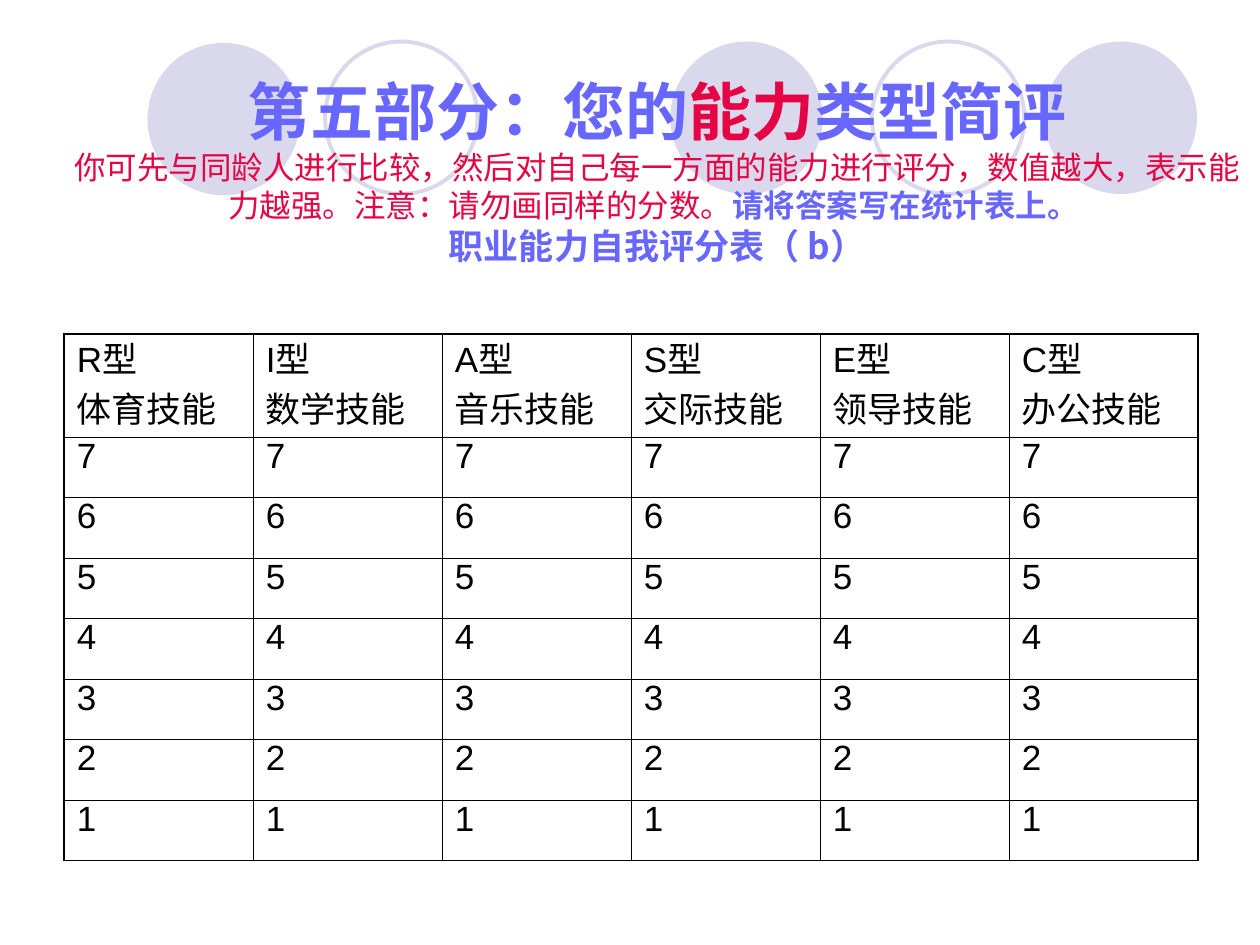
"""Build the ability self-rating slide with its score table."""
from dataclasses import dataclass

import pptx
import pptx.dml.color
import pptx.enum.shapes
import pptx.enum.text
import pptx.oxml
import pptx.oxml.ns
import pptx.util
from pptx.util import Inches


@dataclass(frozen=True)
class Theme:
    lilac: str = "D9D8EC"
    blue: str = "6767FF"
    red: str = "E50545"
    ink: str = "000000"
    latin: str = "Arial"
    cjk: str = "Noto Sans CJK SC"
    title: int = 36
    note: int = 18
    body: int = 20
    ring: float = 2.25
    inner: float = 0.45
    outer: float = 1.08


@dataclass(frozen=True)
class Circle:
    left: float
    top: float
    filled: bool


@dataclass(frozen=True)
class TextRun:
    text: str
    size: int
    color: str
    font: str
    bold: bool = False
    ends_line: bool = False


THEME = Theme()
DIAMETER = 1.21
CIRCLES = [
    Circle(5.32, 0.33, True),
    Circle(8.29, 0.33, True),
    Circle(1.17, 0.34, True),
    Circle(6.92, 0.33, False),
    Circle(2.58, 0.33, False),
]
TITLE_RUNS = [
    TextRun("第五部分：您的", THEME.title, THEME.blue, THEME.latin, True),
    TextRun("能力", THEME.title, THEME.red, THEME.latin, True),
    TextRun("类型简评", THEME.title, THEME.blue, THEME.latin, True, True),
    TextRun("你可先与同龄人进行比较，然后对自己每一方面的能力进行评分，数值越大，表示能力越强。"
            "注意：请勿画同样的分数。", THEME.note, THEME.red, THEME.latin),
    TextRun("请将答案写在统计表上。 ", THEME.note, THEME.blue, THEME.cjk, True, True),
    TextRun("职业能力自我评分表（ b）", THEME.body, THEME.blue, THEME.cjk, True),
]
SKILLS = {"R": "体育", "I": "数学", "A": "音乐", "S": "交际", "E": "领导", "C": "办公"}
SCORES = range(7, 0, -1)
COLUMN_WIDTH, HEADER_HEIGHT, SCORE_HEIGHT = 1.5, 0.82, 0.48


def rgb(color: str) -> pptx.dml.color.RGBColor:
    """Convert a hex string to a colour."""
    return pptx.dml.color.RGBColor.from_string(color)


def add_circle(slide, circle: Circle) -> None:
    """Draw one filled disc or open ring."""
    sp = slide.shapes.add_shape(
        pptx.enum.shapes.MSO_SHAPE.OVAL, Inches(circle.left), Inches(circle.top),
        Inches(DIAMETER), Inches(DIAMETER))
    sp.shadow.inherit = False
    if circle.filled:
        sp.fill.solid()
        sp.fill.fore_color.rgb = rgb(THEME.lilac)
        sp.line.fill.background()
    else:
        sp.fill.background()
        sp.line.color.rgb = rgb(THEME.lilac)
        sp.line.width = pptx.util.Pt(THEME.ring)


def add_run(p, run: TextRun) -> None:
    """Append a formatted run to a paragraph."""
    r = p.add_run()
    r.text = run.text
    r.font.size = pptx.util.Pt(run.size)
    r.font.bold = run.bold
    r.font.color.rgb = rgb(run.color)
    r.font.name = run.font
    ea = pptx.oxml.parse_xml(
        f'<a:ea {pptx.oxml.ns.nsdecls("a")} typeface="{THEME.cjk}"/>')
    r.font._element.find(pptx.oxml.ns.qn("a:latin")).addnext(ea)
    if run.ends_line:
        p.add_line_break()


def add_title(slide) -> None:
    """Add the heading, instructions and table caption."""
    sp = slide.shapes.add_textbox(Inches(0.43), Inches(0.44), Inches(9.57), Inches(1.81))
    tf = sp.text_frame
    tf.word_wrap = True
    tf.vertical_anchor = pptx.enum.text.MSO_ANCHOR.MIDDLE
    p = tf.paragraphs[0]
    p.alignment = pptx.enum.text.PP_ALIGN.CENTER
    p.line_spacing = 1.0
    for run in TITLE_RUNS:
        add_run(p, run)


def set_border(cell, side: str, width: float) -> None:
    """Give one side of a cell a solid line."""
    cell._tc.get_or_add_tcPr().append(pptx.oxml.parse_xml(
        f'<a:ln{side} {pptx.oxml.ns.nsdecls("a")} w="{pptx.util.Pt(width)}">'
        f'<a:solidFill><a:srgbClr val="{THEME.ink}"/></a:solidFill></a:ln{side}>'))


def fill_cell(cell, lines: list[str], edges: dict[str, bool]) -> None:
    """Write the lines of a cell and draw its borders."""
    for side, is_outer in edges.items():
        set_border(cell, side, THEME.outer if is_outer else THEME.inner)
    cell.fill.background()
    tf = cell.text_frame
    for i, line in enumerate(lines):
        p = tf.add_paragraph() if i else tf.paragraphs[0]
        p.line_spacing = 0.8
        p.space_before = pptx.util.Pt(5)
        add_run(p, TextRun(line, THEME.body, THEME.ink, THEME.latin))


def add_score_table(slide) -> None:
    """Add the table of six skill types and seven scores."""
    rows = [[[f"{code}型", f"{skill}技能"] for code, skill in SKILLS.items()]]
    rows += [[[str(score)]] * len(SKILLS) for score in SCORES]
    heights = [HEADER_HEIGHT] + [SCORE_HEIGHT] * len(SCORES)
    table = slide.shapes.add_table(
        len(rows), len(SKILLS), Inches(0.51), Inches(2.65),
        Inches(COLUMN_WIDTH * len(SKILLS)), Inches(sum(heights))).table
    table.first_row = table.horz_banding = False
    for column in table.columns:
        column.width = Inches(COLUMN_WIDTH)
    for i, (row, height) in enumerate(zip(rows, heights)):
        table.rows[i].height = Inches(height)
        for j, lines in enumerate(row):
            edges = {"L": j == 0, "R": j == len(row) - 1,
                     "T": i == 0, "B": i == len(rows) - 1}
            fill_cell(table.cell(i, j), lines, edges)


def main() -> None:
    """Build and save the slide."""
    prs = pptx.Presentation()
    prs.slide_width, prs.slide_height = Inches(10), Inches(7.5)
    s = prs.slides.add_slide(prs.slide_layouts[6])
    for circle in CIRCLES:
        add_circle(s, circle)
    add_title(s)
    add_score_table(s)
    prs.save("out.pptx")


if __name__ == "__main__":
    main()
